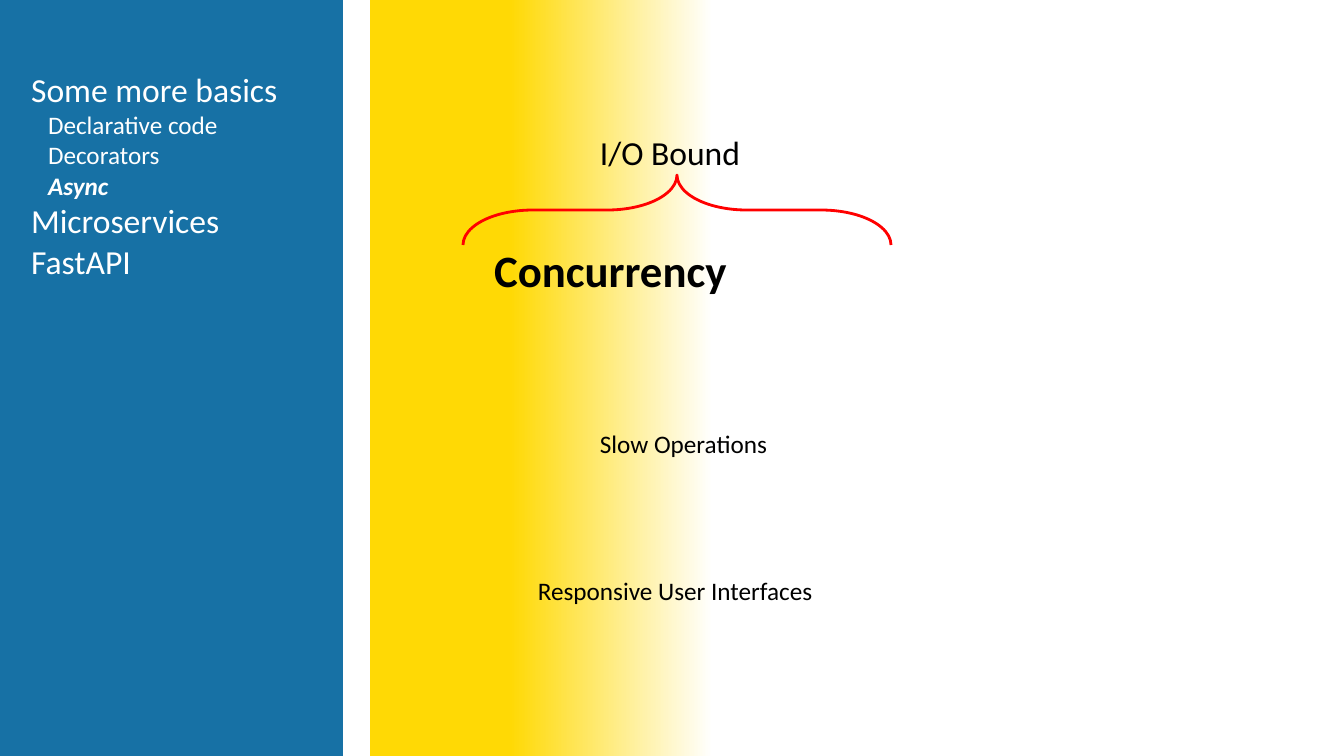
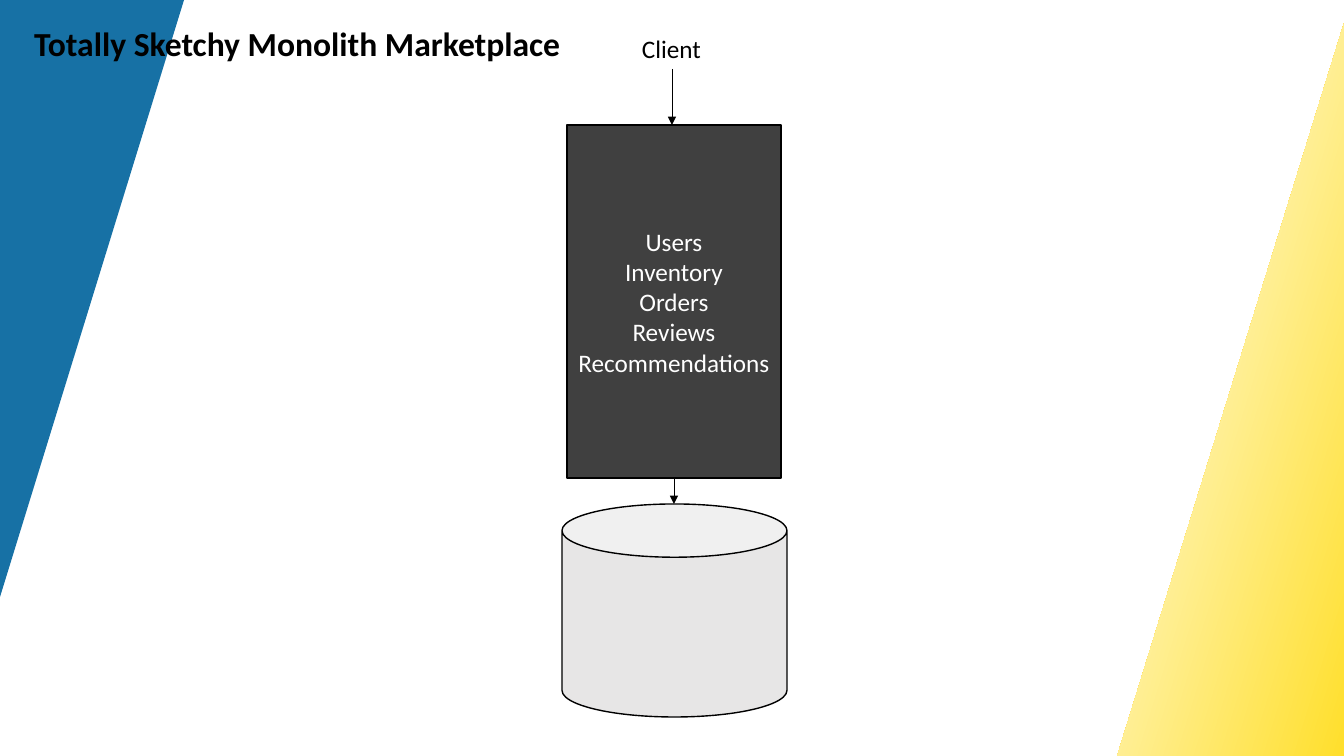
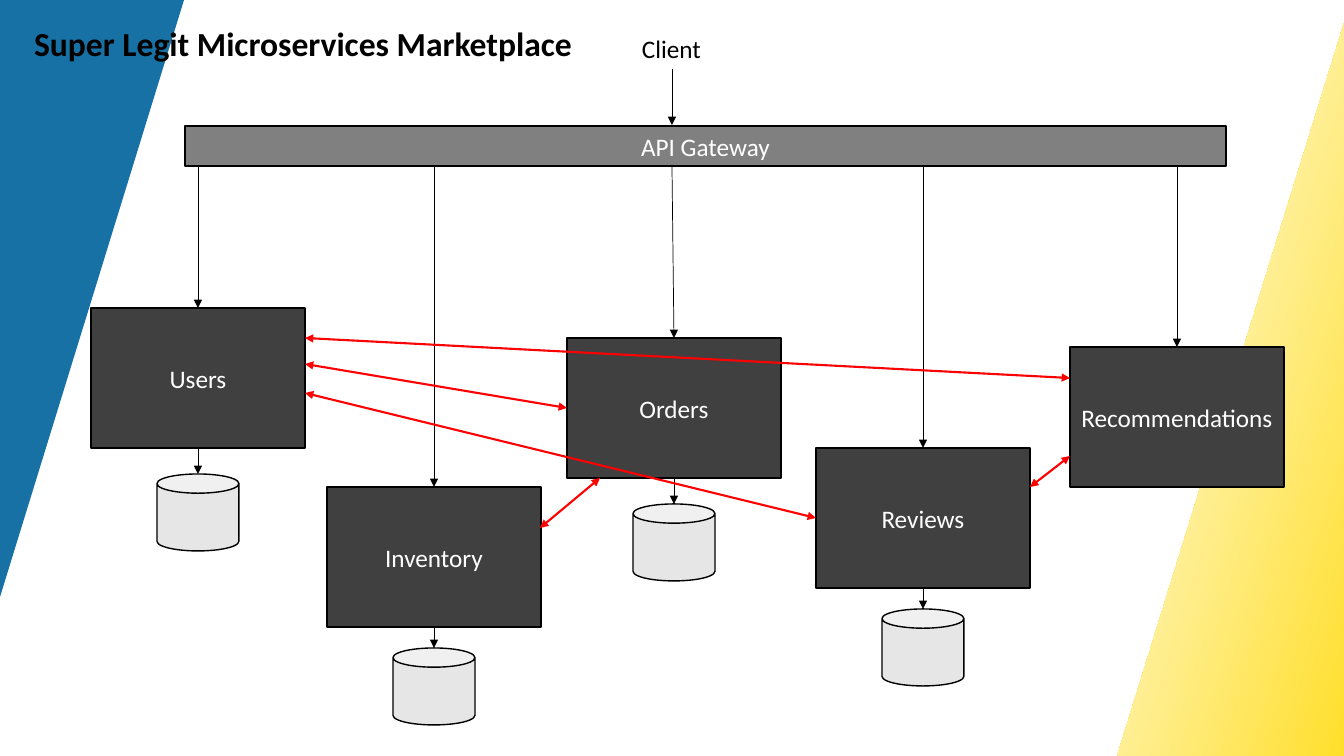
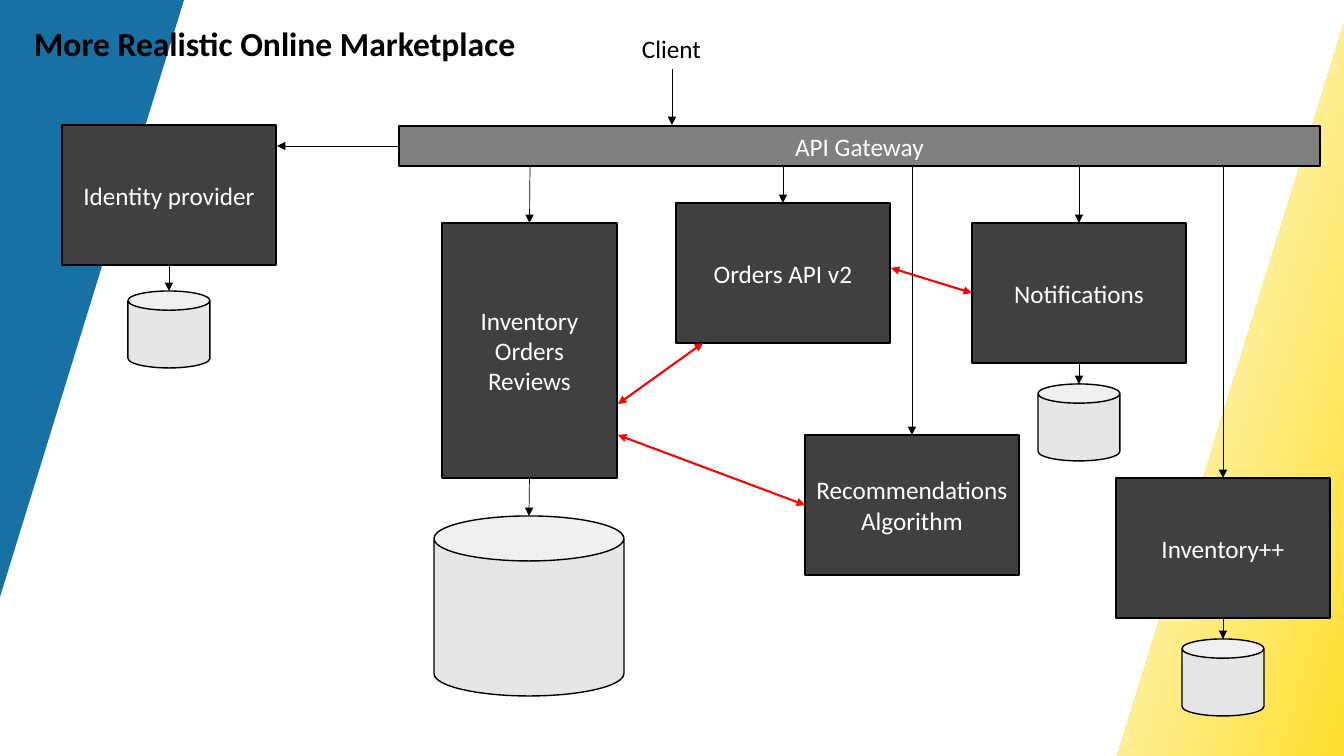
from dataclasses import dataclass

from lxml import etree
from pptx import Presentation
from pptx.dml.color import RGBColor
from pptx.enum.shapes import MSO_CONNECTOR, MSO_SHAPE
from pptx.enum.text import MSO_ANCHOR, MSO_AUTO_SIZE, PP_ALIGN
from pptx.oxml.ns import qn
from pptx.util import Emu, Pt

RECT = MSO_SHAPE.RECTANGLE
CAN = MSO_SHAPE.CAN
TRIANGLE = MSO_SHAPE.ISOSCELES_TRIANGLE
BRACE = MSO_SHAPE.RIGHT_BRACE
STRAIGHT = MSO_CONNECTOR.STRAIGHT
LEFT, CENTER = PP_ALIGN.LEFT, PP_ALIGN.CENTER
TOP, MIDDLE = MSO_ANCHOR.TOP, MSO_ANCHOR.MIDDLE
GROW = MSO_AUTO_SIZE.SHAPE_TO_FIT_TEXT
TOP_SIDE, LEFT_SIDE, BOTTOM_SIDE = 0, 1, 2

SCALE = 914400 / 100.8
WIDTH, HEIGHT = 1344, 756
TITLE_LAYOUT, LIST_LAYOUT = 5, 1


@dataclass(frozen=True)
class Theme:
    font: str = "Calibri"
    blue: str = "1771A5"
    yellow: str = "FFD905"
    white: str = "FFFFFF"
    black: str = "000000"
    service: str = "404040"
    gateway: str = "808080"
    database: str = "E7E6E6"
    red: str = "FF0000"
    heading: int = 32
    title: int = 24
    label: int = 18
    outline: float = 1
    arrow: float = 0.5
    link: float = 1.5
    brace: float = 2


THEME = Theme()


def px(n):
    return Emu(round(n * SCALE))


def rgb(value):
    return RGBColor.from_string(value)


def place(sp, x, y, w, h):
    sp.left, sp.top, sp.width, sp.height = px(x), px(y), px(w), px(h)


def add_run(p, text, size, color, bold=False, italic=False):
    r = p.add_run()
    r.text = text
    r.font.name = THEME.font
    r.font.size = Pt(size)
    r.font.bold = bold
    r.font.italic = italic
    r.font.color.rgb = rgb(color)


def write_lines(tf, lines, size, color, bold=False, align=LEFT):
    for i, line in enumerate(lines):
        p = tf.add_paragraph() if i else tf.paragraphs[0]
        p.alignment = align
        add_run(p, line, size, color, bold)


def fit_text(tf):
    tf.word_wrap = False
    tf.auto_size = GROW
    tf.vertical_anchor = TOP


def add_title(slide, text, box, size=THEME.title):
    sp = slide.shapes.title
    place(sp, *box)
    fit_text(sp.text_frame)
    write_lines(sp.text_frame, [text], size, THEME.black, bold=True)


def add_label(slide, text, box, size=THEME.label):
    sp = slide.shapes.add_textbox(*map(px, box))
    fit_text(sp.text_frame)
    write_lines(sp.text_frame, [text], size, THEME.black)


def add_agenda(slide, items, box):
    sp = slide.placeholders[1]
    place(sp, *box)
    tf = sp.text_frame
    fit_text(tf)
    for i, (level, text, current) in enumerate(items):
        p = tf.add_paragraph() if i else tf.paragraphs[0]
        pPr = p._p.get_or_add_pPr()
        pPr.set("marL", str(px(17 * level)))
        pPr.set("indent", "0")
        etree.SubElement(pPr, qn("a:buNone"))
        p.level = level
        p.alignment = LEFT
        p.space_before = Pt(0)
        size = THEME.label if level else THEME.title
        add_run(p, text, size, THEME.white, current, current)


def add_shape(slide, kind, box, fill=None, line=None, width=THEME.outline):
    sp = slide.shapes.add_shape(kind, *map(px, box))
    sp.shadow.inherit = False
    if fill:
        sp.fill.solid()
        sp.fill.fore_color.rgb = rgb(fill)
    else:
        sp.fill.background()
    if line:
        sp.line.color.rgb = rgb(line)
        sp.line.width = Pt(width)
    else:
        sp.line.fill.background()
    return sp


def send_back(slide, sp):
    slide.shapes._spTree.insert(2, sp.element)


def add_glow(slide, box, solid_until, rotation=0):
    sp = add_shape(slide, RECT, box)
    sp.rotation = rotation
    sp.fill.gradient()
    sp.fill.gradient_angle = 0
    stops = ((solid_until, THEME.yellow), (1, THEME.white))
    for stop, (position, color) in zip(sp.fill.gradient_stops, stops):
        stop.position = position
        stop.color.rgb = rgb(color)
    send_back(slide, sp)


def add_corners(slide):
    add_glow(slide, (1226, 34, 287, 784), 0.29, 197.2)
    sp = add_shape(slide, TRIANGLE, (0, 0, 184, 597), THEME.blue)
    sp.adjustments[0] = 0
    sp.element.spPr.find(qn("a:xfrm")).set("flipV", "1")
    send_back(slide, sp)


def add_box(slide, lines, box, fill=THEME.service):
    sp = add_shape(slide, RECT, box, fill, THEME.black)
    sp.text_frame.vertical_anchor = MIDDLE
    write_lines(sp.text_frame, lines, THEME.label, THEME.white, align=CENTER)
    return sp


def add_service(slide, text, x, y):
    return add_box(slide, [text], (x, y, 214, 140))


def add_gateway(slide, x, w):
    return add_box(slide, ["API Gateway"], (x, 126, w, 40), THEME.gateway)


def add_wire(slide, start, end, color=THEME.black, width=THEME.arrow, both=False):
    joined = [not isinstance(spot[0], int) for spot in (start, end)]
    spots = [(0, 0) if j else spot for j, spot in zip(joined, (start, end))]
    cx = slide.shapes.add_connector(STRAIGHT, *(px(n) for s in spots for n in s))
    if joined[0]:
        cx.begin_connect(*start)
    if joined[1]:
        cx.end_connect(*end)
    cx.line.color.rgb = rgb(color)
    cx.line.width = Pt(width)
    ln = cx.line._get_or_add_ln()
    for tag in ("a:headEnd", "a:tailEnd") if both else ("a:tailEnd",):
        etree.SubElement(ln, qn(tag), type="triangle")
    etree.SubElement(cx.element.spPr, qn("a:effectLst"))


def add_link(slide, start, end):
    add_wire(slide, start, end, THEME.red, THEME.link, both=True)


def center_x(sp):
    return round((sp.left + sp.width / 2) / SCALE)


def bottom_y(sp):
    return round((sp.top + sp.height) / SCALE)


def add_database(slide, service, gap, w=82, h=77):
    x, y = center_x(service), bottom_y(service) + gap
    add_shape(slide, CAN, (x - w // 2, y, w, h), THEME.database, THEME.black)
    add_wire(slide, (service, BOTTOM_SIDE), (x, y))


def add_feed(slide, gateway, service, shift=0):
    start = (center_x(service) + shift, bottom_y(gateway))
    add_wire(slide, start, (service, TOP_SIDE))


def add_market(prs, title, title_width):
    slide = prs.slides.add_slide(prs.slide_layouts[TITLE_LAYOUT])
    add_title(slide, title, (24, 18, title_width, 50))
    add_corners(slide)
    add_label(slide, "Client", (632, 28, 80, 40))
    add_wire(slide, (672, 69), (672, 125))
    return slide


def build_concurrency(prs):
    slide = prs.slides.add_slide(prs.slide_layouts[LIST_LAYOUT])
    add_title(slide, "Concurrency", (484, 238, 255, 64), THEME.heading)
    add_glow(slide, (370, 0, 343, HEIGHT), 0.41)
    send_back(slide, add_shape(slide, RECT, (0, 0, 343, HEIGHT), THEME.blue))
    add_agenda(slide, (
        (0, "Some more basics", False),
        (1, "Declarative code", False),
        (1, "Decorators", False),
        (1, "Async", True),
        (0, "Microservices", False),
        (0, "FastAPI", False),
    ), (21, 64, 269, 231))
    add_label(slide, "Slow Operations", (590, 423, 190, 40))
    add_label(slide, "Responsive User Interfaces", (528, 570, 297, 40))
    add_label(slide, "I/O Bound", (590, 127, 161, 50), THEME.title)
    brace = add_shape(slide, BRACE, (642, -4, 70, 428), None, THEME.red, THEME.brace)
    brace.rotation = 270
    brace.adjustments[0] = 0.996
    brace.adjustments[1] = 0.5


def build_monolith(prs):
    slide = add_market(prs, "Totally Sketchy Monolith Marketplace", 551)
    parts = ["Users", "Inventory", "Orders", "Reviews", "Recommendations"]
    monolith = add_box(slide, parts, (567, 125, 214, 353))
    add_database(slide, monolith, 26, 225, 213)


def build_microservices(prs):
    slide = add_market(prs, "Super Legit Microservices Marketplace", 563)
    inventory = add_service(slide, "Inventory", 327, 487)
    orders = add_service(slide, "Orders", 567, 338)
    reviews = add_service(slide, "Reviews", 816, 448)
    recommendations = add_service(slide, "Recommendations", 1070, 347)
    users = add_service(slide, "Users", 91, 308)
    gateway = add_gateway(slide, 185, 1041)
    for service, gap in ((users, 26), (inventory, 21), (orders, 26), (reviews, 21)):
        add_database(slide, service, gap)
    for service in (users, inventory, reviews, recommendations):
        add_feed(slide, gateway, service)
    add_feed(slide, gateway, orders, -2)
    add_link(slide, (1070, 456), (1030, 487))
    add_link(slide, (600, 478), (540, 528))
    add_link(slide, (orders, LEFT_SIDE), (305, 364))
    add_link(slide, (305, 393), (reviews, LEFT_SIDE))
    add_link(slide, (1070, 378), (305, 338))


def build_realistic(prs):
    slide = add_market(prs, "More Realistic Online Marketplace", 507)
    orders = add_service(slide, "Orders API v2", 676, 203)
    algorithm = add_service(slide, "Recommendations Algorithm", 805, 435)
    identity = add_service(slide, "Identity provider", 62, 125)
    plus = add_service(slide, "Inventory++", 1116, 478)
    notifications = add_service(slide, "Notifications", 972, 223)
    core = add_box(slide, ["Inventory", "Orders", "Reviews"], (442, 223, 175, 255))
    gateway = add_gateway(slide, 399, 921)
    add_wire(slide, (gateway, LEFT_SIDE), (277, 146))
    for service in (orders, algorithm, plus, notifications):
        add_feed(slide, gateway, service)
    add_feed(slide, gateway, core, 1)
    for service, gap in ((identity, 26), (plus, 21), (notifications, 21)):
        add_database(slide, service, gap)
    add_database(slide, core, 38, 190, 180)
    add_link(slide, (notifications, LEFT_SIDE), (891, 268))
    add_link(slide, (algorithm, LEFT_SIDE), (618, 435))
    add_link(slide, (703, 343), (618, 404))


def main():
    prs = Presentation()
    prs.slide_width, prs.slide_height = px(WIDTH), px(HEIGHT)
    build_concurrency(prs)
    build_monolith(prs)
    build_microservices(prs)
    build_realistic(prs)
    prs.save("out.pptx")


if __name__ == "__main__":
    main()
